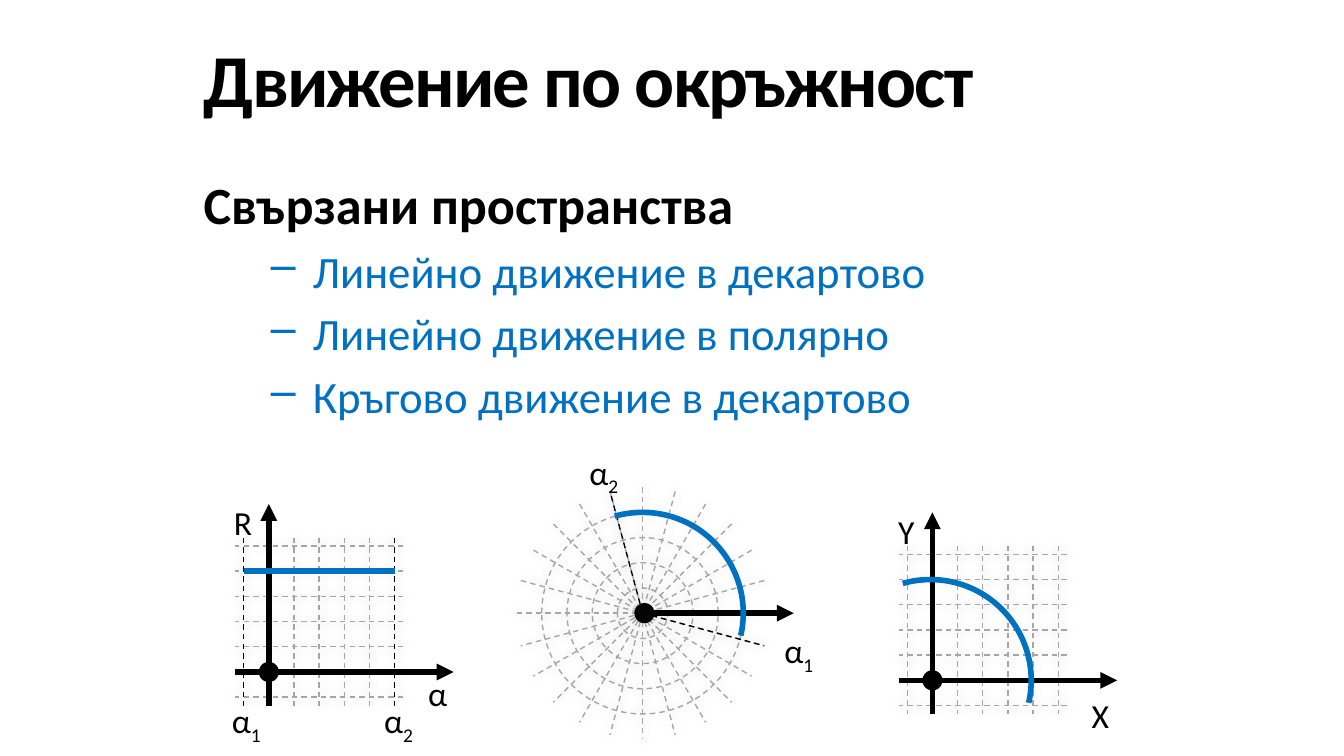
import math

import lxml.etree
import pptx
import pptx.dml.color
import pptx.enum.dml
import pptx.enum.shapes
import pptx.enum.text
import pptx.oxml.ns
import pptx.util

Pt = pptx.util.Pt
qn = pptx.oxml.ns.qn
SHAPES = pptx.enum.shapes.MSO_SHAPE
ALIGN = pptx.enum.text.PP_ALIGN
ANCHOR = pptx.enum.text.MSO_ANCHOR
AUTO = pptx.enum.text.MSO_AUTO_SIZE

COLORS = {"ink": "000000", "grid": "A6A6A6", "motion": "0070C0"}
FONT = "Calibri"
STEP = 13.5             # one grid unit
RADIUS = 4 * STEP       # radius of the motion
SPOKE = 5 * STEP        # length of a polar ray
DOT = 5.4               # radius of an origin dot
GRID_UNITS = (-1, 1, 2, 3, 4, 5)


def rgb(name):
    return pptx.dml.color.RGBColor.from_string(COLORS[name])


def add_span(para, text, size, color="ink", bold=False):
    span = para.add_run()
    span.text = text
    span.font.name = FONT
    span.font.size = Pt(size)
    span.font.bold = bold
    span.font.color.rgb = rgb(color)
    return span


def style_line(shape, color, width, dashed=False):
    """Colour the outline; dashed grid lines also get a soft grey glow."""
    shape.line.color.rgb = rgb(color)
    shape.line.width = Pt(width)
    if dashed:
        shape.line.dash_style = pptx.enum.dml.MSO_LINE.DASH
    properties = shape._element.spPr
    effects = lxml.etree.SubElement(properties, qn("a:effectLst"))
    if dashed:
        glow = lxml.etree.SubElement(effects, qn("a:outerShdw"),
                                     blurRad=str(Pt(5)), dist="0", dir="0")
        tint = lxml.etree.SubElement(glow, qn("a:srgbClr"), val=COLORS["grid"])
        lxml.etree.SubElement(tint, qn("a:alpha"), val="40000")


def add_line(page, start, end, color, width, dashed=False, arrow=False):
    line = page.shapes.add_connector(
        pptx.enum.shapes.MSO_CONNECTOR.STRAIGHT,
        *(Pt(value) for value in (*start, *end)))
    style_line(line, color, width, dashed)
    if arrow:
        outline = line._element.spPr.find(qn("a:ln"))
        lxml.etree.SubElement(outline, qn("a:tailEnd"), type="triangle")


def add_dashes(page, start, end, color="grid"):
    add_line(page, start, end, color, 0.75, dashed=True)


def add_axis(page, start, end):
    add_line(page, start, end, "ink", 3, arrow=True)


def add_round(page, kind, x, y, radius):
    return page.shapes.add_shape(kind, Pt(x - radius), Pt(y - radius),
                                 Pt(2 * radius), Pt(2 * radius))


def add_dot(page, x, y):
    dot = add_round(page, SHAPES.OVAL, x, y, DOT)
    dot.shadow.inherit = False
    dot.fill.solid()
    dot.fill.fore_color.rgb = rgb("ink")
    dot.line.fill.background()


def add_ring(page, x, y, radius):
    ring = add_round(page, SHAPES.OVAL, x, y, radius)
    ring.fill.background()
    style_line(ring, "grid", 0.75, dashed=True)


def add_motion_arc(page, x, y):
    arc = add_round(page, SHAPES.ARC, x, y, RADIUS)
    arc.adjustments[0] = 152.433
    arc.adjustments[1] = 7.721
    arc.fill.background()
    style_line(arc, "motion", 3)


def add_label(page, left, top, width, text, index=""):
    box = page.shapes.add_textbox(Pt(left), Pt(top), Pt(width), Pt(29))
    box.text_frame.word_wrap = False
    box.text_frame.auto_size = AUTO.SHAPE_TO_FIT_TEXT
    para = box.text_frame.paragraphs[0]
    para.alignment = ALIGN.CENTER
    add_span(para, text, 18)
    if index:
        span = add_span(para, index, 18)
        span.font._element.set("baseline", "-25000")


def add_title(page, text):
    title = page.shapes.title
    title.left, title.top, title.width, title.height = (
        Pt(102), Pt(10.8), Pt(618), Pt(61.2))
    title.text_frame.auto_size = AUTO.NONE
    title.text_frame.vertical_anchor = ANCHOR.MIDDLE
    para = title.text_frame.paragraphs[0]
    para.alignment = ALIGN.LEFT
    span = add_span(para, text, 40, bold=True)
    span.font._element.set("spc", "-100")


def add_body(page, heading, items):
    box = page.shapes.add_textbox(Pt(102), Pt(88.5), Pt(618), Pt(294))
    frame = box.text_frame
    frame.word_wrap = True
    add_span(frame.paragraphs[0], heading, 28, bold=True)
    for item in items:
        para = frame.add_paragraph()
        para.level = 1
        properties = para._element.get_or_add_pPr()
        properties.set("marL", str(Pt(58.5)))
        properties.set("indent", str(Pt(-22.5)))
        lxml.etree.SubElement(properties, qn("a:buChar"), char="–")
        para.space_before = Pt(4.8)
        add_span(para, item, 24, "motion")


def add_cartesian(page, x, y, black_units=()):
    """Dashed grid, two axes and the origin dot."""
    add_dot(page, x, y)
    for unit in GRID_UNITS:
        across, up = x + unit * STEP, y - unit * STEP
        color = "ink" if unit in black_units else "grid"
        add_dashes(page, (across, y - 72), (across, y + 18), color)
        add_dashes(page, (x + 72, up), (x - 18, up))
    add_axis(page, (x, y + 18), (x, y - 90))
    add_axis(page, (x - 18, y), (x + 99, y))


def add_polar(page, x, y):
    """Rings, rays every 15 degrees, the zero axis and the limits of motion."""
    def ray_end(degrees):
        angle = math.radians(degrees)
        return x + SPOKE * math.cos(angle), y + SPOKE * math.sin(angle)

    for ring in range(1, 5):
        add_ring(page, x, y, ring * STEP)
    for degrees in range(0, 180, 15):
        add_dashes(page, ray_end(degrees + 180), ray_end(degrees))
    add_dot(page, x + 1, y)
    add_axis(page, (x, y), (x + 81, y))
    for degrees in (-105, 15):
        add_dashes(page, (x, y), ray_end(degrees), "ink")
    add_motion_arc(page, x, y)


def main():
    deck = pptx.Presentation()
    deck.slide_width, deck.slide_height = Pt(720), Pt(405)
    page = deck.slides.add_slide(deck.slide_layouts[5])

    # Text
    add_title(page, "Движение по окръжност")
    add_body(page, "Свързани пространства", (
        "Линейно движение в декартово",
        "Линейно движение в полярно",
        "Кръгово движение в декартово"))

    # Linear motion in Cartesian space
    x, y = 144, 360
    add_cartesian(page, x, y, black_units=(-1, 5))
    add_line(page, (x - STEP, y - RADIUS), (x + 5 * STEP, y - RADIUS),
             "motion", 3)
    add_label(page, 118, 265.5, 24.5, "R")
    add_label(page, 222, 357, 25, "α")
    add_label(page, 116.5, 371.5, 31, "α", "1")
    add_label(page, 198, 371.5, 31, "α", "2")

    # Linear motion in polar space
    add_polar(page, 344.25, 328.5)
    add_label(page, 412.5, 334, 31, "α", "1")
    add_label(page, 308, 238.5, 31, "α", "2")

    # Circular motion in Cartesian space
    x, y = 499.5, 364.5
    add_cartesian(page, x, y)
    add_motion_arc(page, x - 1, y)
    add_label(page, 474, 270, 23, "Y")
    add_label(page, 577.5, 368.5, 24, "X")

    deck.save("out.pptx")


if __name__ == "__main__":
    main()
